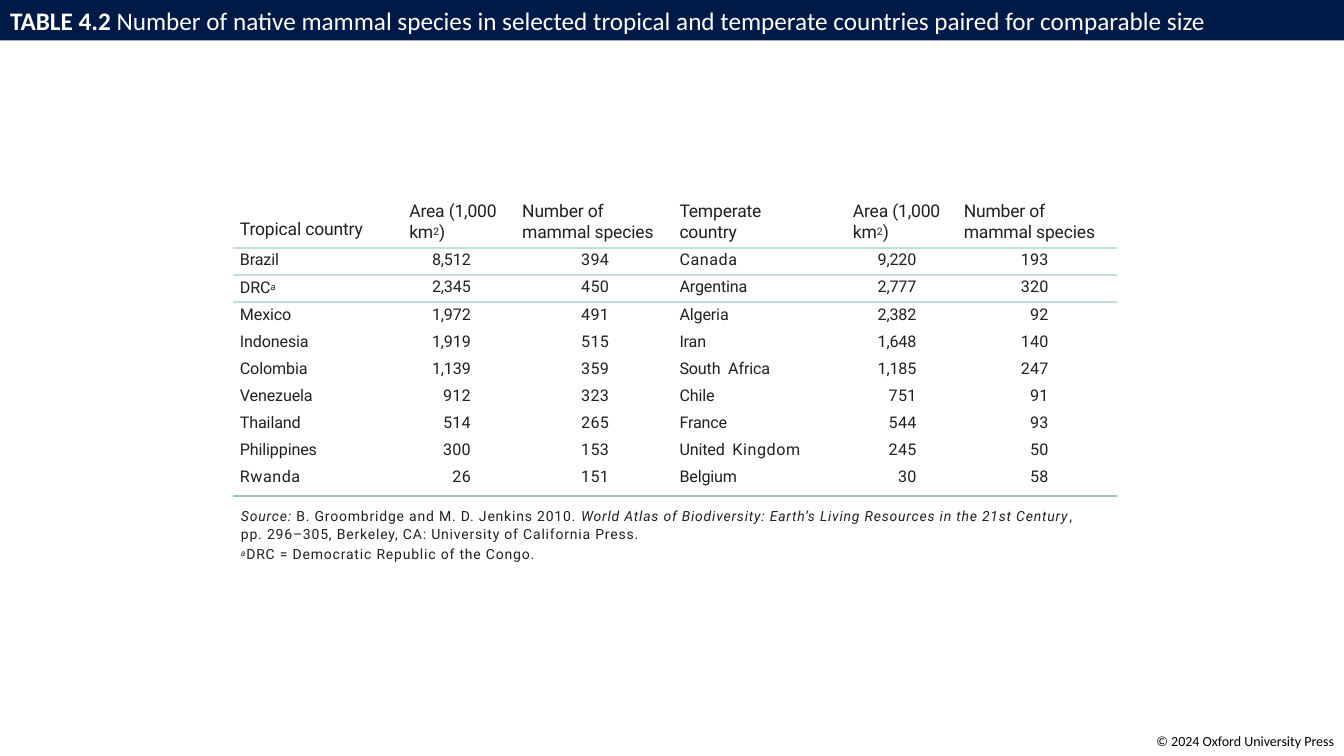
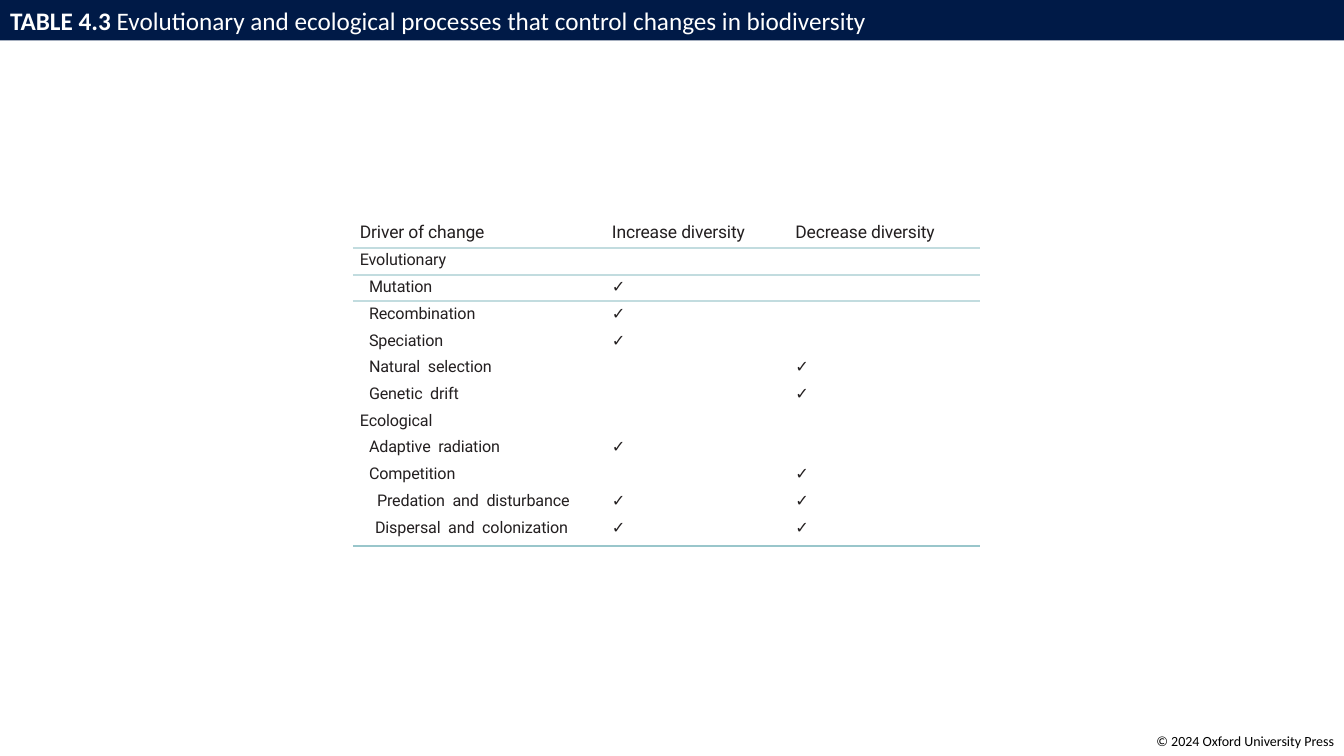
from lxml import etree
from pptx import Presentation
from pptx.dml.color import RGBColor
from pptx.enum import text as t
from pptx.oxml.ns import qn
from pptx.util import Inches, Pt

NAVY, WHITE, BLACK, INK = "001A47", "FFFFFF", "000000", "231F20"
PALE_RULE, TEAL_RULE = "C2DCDF", "99C6CB"
TITLE_FONT, TABLE_FONT = "Calibri", "Roboto"
HEADER_SIZE, BODY_SIZE, NOTE_SIZE = 12.5, 11.5, 10
SLIDE_WIDTH, SLIDE_HEIGHT = 13.33, 7.5
LAST_ROW_HEIGHT = 0.31
NO_TABLE_STYLE = "{2D5ABB26-0587-4C30-8999-92F81FD0307C}"
LEFT, RIGHT = t.PP_ALIGN.LEFT, t.PP_ALIGN.RIGHT
LOOSE_WORDS = {"Canada", "Rwanda", "Kingdom"}

AREA_HEADER = [("Area (1,000 km", {}), ("2", {"size": 12.8, "raised": 20}), (")", {})]
SPECIES_HEADER = [("Number of mammal species", {})]
# width, body alignment, left inset, header right inset, body right inset, header
SPECIES_COLUMNS = [
    (1.58, LEFT, 0.07, 0, 0, [("Tropical country", {})]),
    (1.18, RIGHT, 0.17, 0, 0.4, AREA_HEADER),
    (1.57, RIGHT, 0.11, 0, 0.6, SPECIES_HEADER),
    (1.57, LEFT, 0.1, 0.2, 0, [("Temperate country", {})]),
    (1.25, RIGHT, 0.25, 0, 0.37, AREA_HEADER),
    (1.62, RIGHT, 0.1, 0, 0.68, SPECIES_HEADER),
]
SPECIES_ROWS = [
    ("Brazil", "8,512", "394", "Canada", "9,220", "193"),
    ("DRC", "2,345", "450", "Argentina", "2,777", "320"),
    ("Mexico", "1,972", "491", "Algeria", "2,382", "92"),
    ("Indonesia", "1,919", "515", "Iran", "1,648", "140"),
    ("Colombia", "1,139", "359", "South Africa", "1,185", "247"),
    ("Venezuela", "912", "323", "Chile", "751", "91"),
    ("Thailand", "514", "265", "France", "544", "93"),
    ("Philippines", "300", "153", "United Kingdom", "245", "50"),
    ("Rwanda", "26", "151", "Belgium", "30", "58"),
]
SOURCE_NOTE = [
    [("Source: ", {"italic": True}),
     ("B. Groombridge and M. D. Jenkins 2010. ", {}),
     ("World Atlas of Biodiversity: Earth’s Living Resources in the 21st Century",
      {"italic": True}),
     (",", {})],
    [("pp. 296–305, Berkeley, CA: University of California Press.", {})],
    [("a", {"italic": True, "size": 10.5, "raised": 20}),
     ("DRC = Democratic Republic of the Congo.", {})],
]

DRIVER_COLUMNS = [
    (2.37, LEFT, 0.07, 0, 0, [("Driver of change", {})]),
    (1.83, LEFT, 0.2, 0, 0, [("Increase diversity", {})]),
    (2.02, LEFT, 0.19, 0, 0, [("Decrease diversity", {})]),
]
DRIVER_ROWS = [
    ("Evolutionary", "", ""),
    ("Mutation", "✓", ""),
    ("Recombination", "✓", ""),
    ("Speciation", "✓", ""),
    ("Natural selection", "", "✓"),
    ("Genetic drift", "", "✓"),
    ("Ecological", "", ""),
    ("Adaptive radiation", "✓", ""),
    ("Competition", "", "✓"),
    ("Predation and disturbance", "✓", "✓"),
    ("Dispersal and colonization", "✓", "✓"),
]
# extra left inset of the driver names, by row
DRIVER_INDENTS = [0] + [0.09] * 5 + [0] + [0.09] * 2 + [0.17, 0.15]


def color(hex_string):
    return RGBColor.from_string(hex_string)


def add_run(paragraph, text, size, hex_string=INK, font=TABLE_FONT,
            bold=False, italic=False, spacing=0.0, raised=0):
    """Add one run; spacing is in points, raised in percent."""
    run = paragraph.add_run()
    run.text = text
    run.font.size = Pt(size)
    run.font.name = font
    run.font.bold = bold
    run.font.italic = italic
    run.font.color.rgb = color(hex_string)
    properties = run.font._element
    if spacing:
        properties.set("spc", str(round(spacing * 100)))
    if raised:
        properties.set("baseline", str(raised * 1000))


def add_runs(paragraph, runs, **defaults):
    for text, options in runs:
        add_run(paragraph, text, **{**defaults, **options})


def set_insets(box, left, top, right=0, bottom=0):
    box.margin_left, box.margin_top = Inches(left), Inches(top)
    box.margin_right, box.margin_bottom = Inches(right), Inches(bottom)


def add_title(slide, label, caption):
    title = slide.shapes.title
    title.left, title.top = Inches(0), Inches(0)
    title.width, title.height = Inches(SLIDE_WIDTH), Inches(0.4)
    title.fill.solid()
    title.fill.fore_color.rgb = color(NAVY)
    frame = title.text_frame
    frame.auto_size = t.MSO_AUTO_SIZE.NONE
    frame.vertical_anchor = t.MSO_ANCHOR.MIDDLE
    paragraph = frame.paragraphs[0]
    paragraph.alignment = LEFT
    add_run(paragraph, label + " ", 18, WHITE, TITLE_FONT, bold=True)
    add_run(paragraph, caption, 18, WHITE, TITLE_FONT)


def add_copyright(slide):
    width, height = 2, 0.27
    box = slide.shapes.add_textbox(
        Inches(SLIDE_WIDTH - width), Inches(7.22), Inches(width), Inches(height))
    box.text_frame.word_wrap = False
    paragraph = box.text_frame.paragraphs[0]
    paragraph.alignment = RIGHT
    add_run(paragraph, "© 2024 Oxford University Press", 10, BLACK, TITLE_FONT)


def add_table_slide(presentation, label, caption):
    """Add a slide with the title band and the copyright line."""
    slide = presentation.slides.add_slide(presentation.slide_layouts[5])
    add_title(slide, label, caption)
    add_copyright(slide)
    return slide


def set_border(cell, side, hex_string):
    """Rule one side of a cell; side is T or B."""
    line = etree.Element(qn("a:ln" + side), w=str(Pt(1.5)))
    fill = etree.SubElement(line, qn("a:solidFill"))
    etree.SubElement(fill, qn("a:srgbClr"), val=hex_string)
    cell._tc.get_or_add_tcPr().insert(0, line)


def fill_header_cell(cell, runs, left, right):
    set_insets(cell, left, 0, right)
    paragraph = cell.text_frame.paragraphs[0]
    paragraph.line_spacing = Pt(15.5)
    add_runs(paragraph, runs, size=HEADER_SIZE, spacing=-0.1)


def word_spacing(word):
    if word in LOOSE_WORDS:
        return 0.4
    if word.isdigit():
        return 0.2
    return -0.1


def fill_body_cell(cell, text, alignment, left, right):
    """Write a cell's words, with wide gaps between them."""
    set_insets(cell, left if alignment == LEFT else 0, 0.03, right)
    paragraph = cell.text_frame.paragraphs[0]
    paragraph.alignment = alignment
    if not text:
        paragraph._p.get_or_add_endParaRPr().set("sz", str(round(BODY_SIZE * 100)))
        return
    for index, word in enumerate(text.split()):
        if index:
            add_run(paragraph, " ", BODY_SIZE, spacing=2.5)
        add_run(paragraph, word, BODY_SIZE, spacing=word_spacing(word))


def add_ruled_table(slide, left, top, height, header_height, columns, rows):
    """Add a table with rules under its header, first and last body rows."""
    width = sum(column[0] for column in columns)
    table = slide.shapes.add_table(
        len(rows) + 1, len(columns),
        Inches(left), Inches(top), Inches(width), Inches(height)).table
    table._tbl.tblPr.find(qn("a:tableStyleId")).text = NO_TABLE_STYLE
    table.first_row = table.horz_banding = False

    body_height = (height - header_height - LAST_ROW_HEIGHT) / (len(rows) - 1)
    heights = [header_height] + [body_height] * (len(rows) - 1) + [LAST_ROW_HEIGHT]
    for row, row_height in zip(table.rows, heights):
        row.height = Inches(row_height)

    for index, (column_width, alignment, inset, header_right, body_right,
                header) in enumerate(columns):
        table.columns[index].width = Inches(column_width)
        fill_header_cell(table.cell(0, index), header, inset, header_right)
        for number, row in enumerate(rows, start=1):
            fill_body_cell(table.cell(number, index), row[index],
                           alignment, inset, body_right)
        for number in range(len(rows) + 1):
            table.cell(number, index).fill.background()
        for number, hex_string in ((0, PALE_RULE), (1, PALE_RULE),
                                   (len(rows), TEAL_RULE)):
            set_border(table.cell(number, index), "B", hex_string)
        for number in (1, 2):
            set_border(table.cell(number, index), "T", PALE_RULE)
    return table


def add_source_note(slide, left, top, width, height):
    box = slide.shapes.add_textbox(
        Inches(left), Inches(top), Inches(width), Inches(height))
    frame = box.text_frame
    frame.word_wrap = True
    set_insets(frame, 0.04, 0.03)
    for index, runs in enumerate(SOURCE_NOTE):
        paragraph = frame.add_paragraph() if index else frame.paragraphs[0]
        if index:
            paragraph.space_before = Pt(1.3)
        add_runs(paragraph, runs, size=NOTE_SIZE, spacing=0.6)


def add_species_slide(presentation):
    slide = add_table_slide(
        presentation, "TABLE 4.2",
        "Number of native mammal species in selected tropical and temperate "
        "countries paired for comparable size")
    table = add_ruled_table(slide, 2.31, 1.98, 2.94, 0.48,
                            SPECIES_COLUMNS, SPECIES_ROWS)
    first_header = table.cell(0, 0)
    first_header.vertical_anchor = t.MSO_ANCHOR.BOTTOM
    first_header.margin_bottom = Inches(0.08)
    add_run(table.cell(2, 0).text_frame.paragraphs[0], "a", 12,
            italic=True, spacing=-0.3, raised=21)
    add_source_note(slide, 2.35, 5, 8.5, 0.58)


def add_driver_slide(presentation):
    slide = add_table_slide(
        presentation, "TABLE 4.3",
        "Evolutionary and ecological processes that control changes in biodiversity")
    table = add_ruled_table(slide, 3.5, 2.19, 3.23, 0.27,
                            DRIVER_COLUMNS, DRIVER_ROWS)
    for number, indent in enumerate(DRIVER_INDENTS, start=1):
        table.cell(number, 0).margin_left += Inches(indent)


def main():
    presentation = Presentation()
    presentation.slide_width = Inches(SLIDE_WIDTH)
    presentation.slide_height = Inches(SLIDE_HEIGHT)
    add_species_slide(presentation)
    add_driver_slide(presentation)
    presentation.save("out.pptx")


if __name__ == "__main__":
    main()
